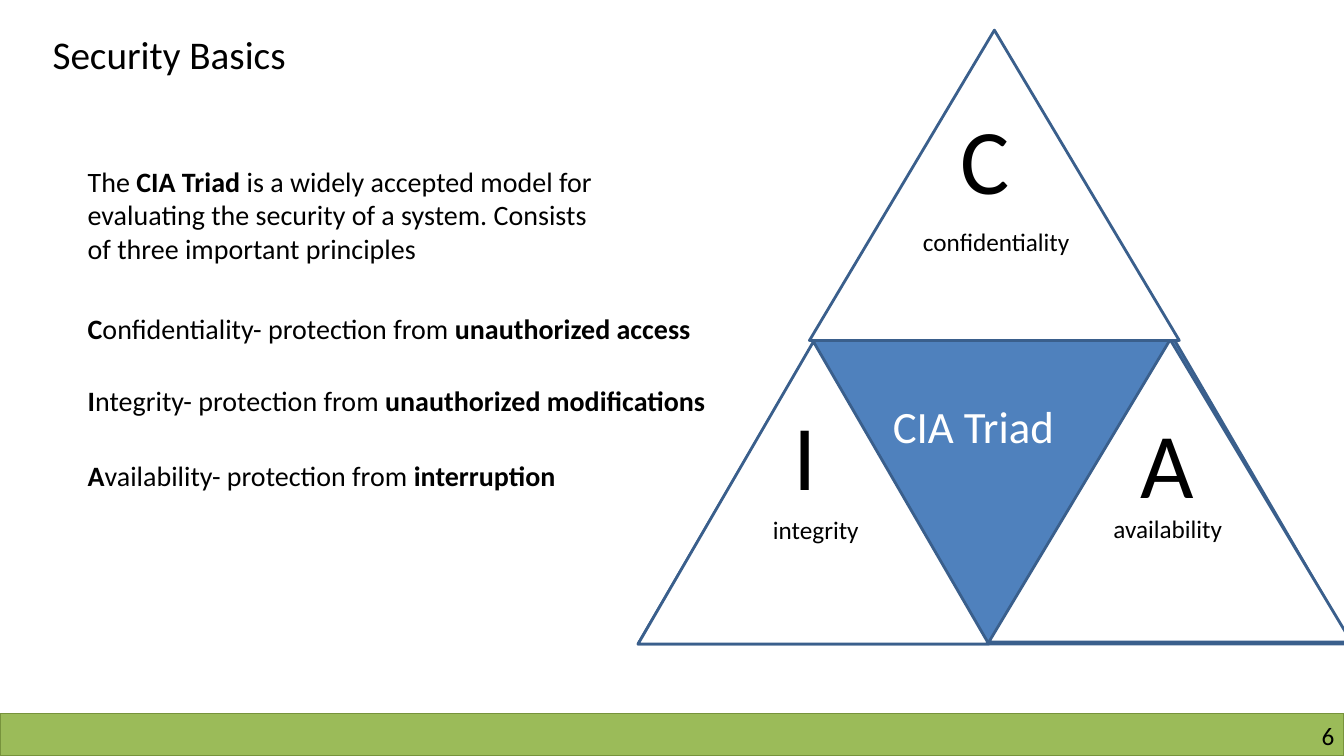
from collections import namedtuple
from dataclasses import dataclass

from pptx import Presentation
from pptx.dml.color import RGBColor
from pptx.enum.shapes import MSO_SHAPE as Preset
from pptx.enum.text import MSO_ANCHOR as Anchor, PP_ALIGN as Align
from pptx.util import Cm, Pt

Box = namedtuple("Box", "left top width height")


@dataclass(frozen=True)
class Theme:
    font: str = "Calibri"
    text: str = "000000"
    white: str = "FFFFFF"
    blue: str = "4F81BD"
    blue_line: str = "3A5F8C"
    green: str = "9BBB59"
    green_line: str = "77933C"
    title: int = 28
    body: int = 20
    label: int = 18
    center: int = 32
    letter: int = 66


THEME = Theme()


def inside(box, left, top, width, height):
    """Return a box placed relative to the corner of another."""
    return Box(box.left + left, box.top + top, width, height)


def lengths(box):
    return [Cm(value) for value in box]


def write(frame, text, size, color=THEME.text, align=Align.LEFT, inset=None):
    """Fill a text frame; parts between asterisks are bold."""
    frame.word_wrap = True
    frame.vertical_anchor = Anchor.TOP
    if inset is not None:
        frame.margin_left = frame.margin_right = Cm(inset)
        frame.margin_top = frame.margin_bottom = Cm(inset)
    para = frame.paragraphs[0]
    para.alignment = align
    for index, part in enumerate(text.split("*")):
        if part:
            span = para.add_run()
            span.text = part
            span.font.name = THEME.font
            span.font.size = Pt(size)
            span.font.bold = index % 2 == 1
            span.font.color.rgb = RGBColor.from_string(color)


def add_text(page, box, text, size, **form):
    frame = page.shapes.add_textbox(*lengths(box)).text_frame
    write(frame, text, size, **form)


def add_block(page, preset, box, fill, line, weight):
    shape = page.shapes.add_shape(preset, *lengths(box))
    shape.shadow.inherit = False
    shape.fill.solid()
    shape.fill.fore_color.rgb = RGBColor.from_string(fill)
    shape.line.color.rgb = RGBColor.from_string(line)
    shape.line.width = Pt(weight)


def add_footer(page, box):
    add_block(page, Preset.RECTANGLE, box, THEME.green, THEME.green_line, 1)
    number = inside(box, 25.83, 0.18, 7.8, 0.76)
    add_text(page, number, "6", THEME.label, align=Align.RIGHT, inset=0)


def add_title(page, box):
    title = page.shapes.title
    title.left, title.top, title.width, title.height = lengths(box)
    write(title.text_frame, "Security Basics", THEME.title)


def add_principles(page, box):
    intro = ("The *CIA Triad *is a widely accepted model for evaluating the "
             "security of a system. Consists of three important principles")
    add_text(page, inside(box, 0, 0, 13.77, 2.82), intro, THEME.body)
    principles = [
        (3.71, "*C*onfidentiality- protection from *unauthorized access*"),
        (5.52, "*I*ntegrity- protection from *unauthorized modifications*"),
        (7.42, "*A*vailability- protection from *interruption*"),
    ]
    for top, text in principles:
        add_text(page, inside(box, 0, top, box.width, 1.12), text, THEME.body)


def add_triad(page, box):
    # Blue triangle, with white ones covering its corners
    triangles = [
        (THEME.blue, (0, 0.03, box.width, 15.44)),
        (THEME.white, (0, 7.85, 8.84, 7.62)),
        (THEME.white, (8.84, 7.8, 9.14, 7.62)),
        (THEME.white, (4.32, 0, 9.32, 7.82)),
    ]
    for fill, place in triangles:
        add_block(page, Preset.ISOSCELES_TRIANGLE, inside(box, *place),
                  fill, THEME.blue_line, 2)

    # Center name
    add_text(page, inside(box, 6.17, 9.15, 5.33, 1.63), "CIA Triad",
             THEME.center, color=THEME.white)

    # Letter and word in each corner
    corners = [
        ("C", (7.87, 1.68), "confidentiality", (6.93, 4.83)),
        ("I", (3.66, 9.15), "integrity", (3.15, 12.07)),
        ("A", (12.42, 9.35), "availability", (11.73, 12.04)),
    ]
    for letter, letter_at, word, word_at in corners:
        add_text(page, inside(box, *letter_at, 2.5, 3.07), letter, THEME.letter)
        add_text(page, inside(box, *word_at, 5.5, 1.02), word, THEME.label)


def main():
    deck = Presentation()
    deck.slide_width, deck.slide_height = Cm(33.87), Cm(19.05)
    page = deck.slides.add_slide(deck.slide_layouts[5])
    add_footer(page, Box(0, 17.98, 33.87, 1.07))
    add_title(page, Box(1.07, 0.64, 7.34, 1.45))
    add_triad(page, Box(16.08, 0.76, 17.98, 15.47))
    add_principles(page, Box(1.96, 4.01, 17.5, 8.54))
    deck.save("out.pptx")


if __name__ == "__main__":
    main()
